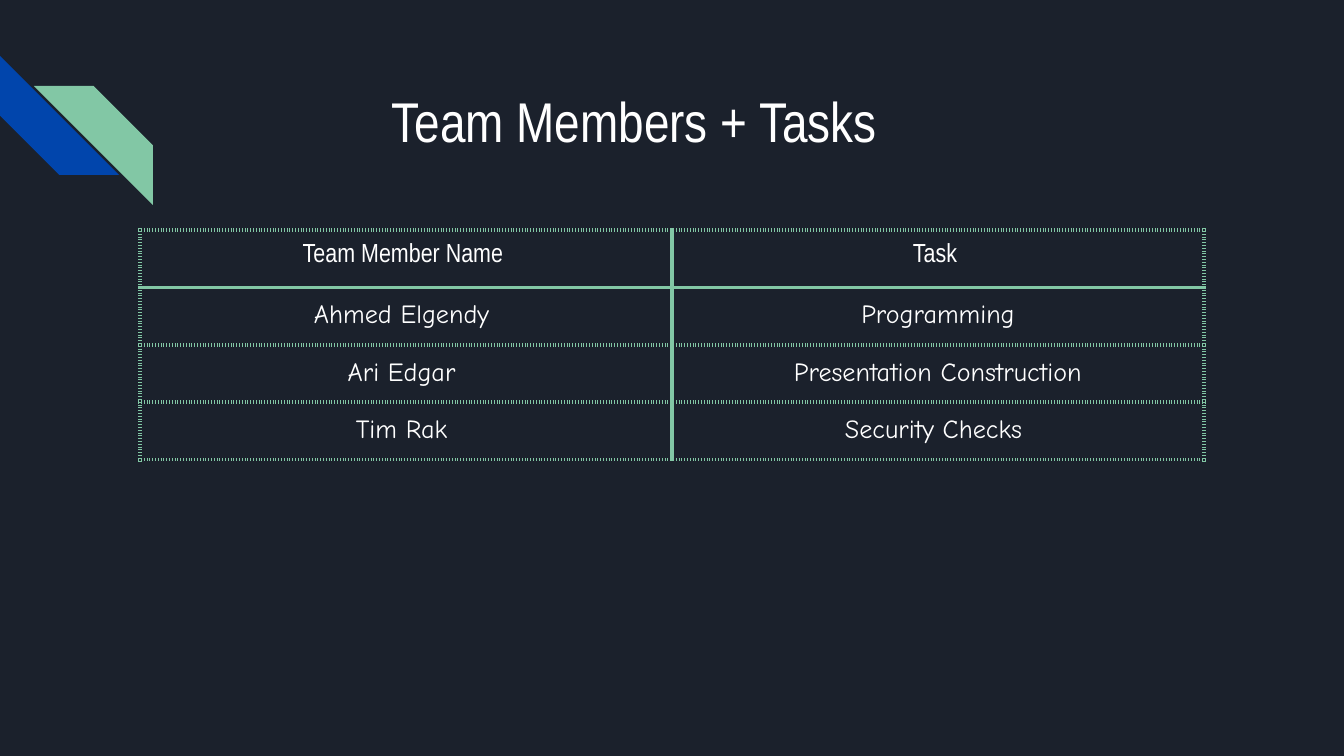
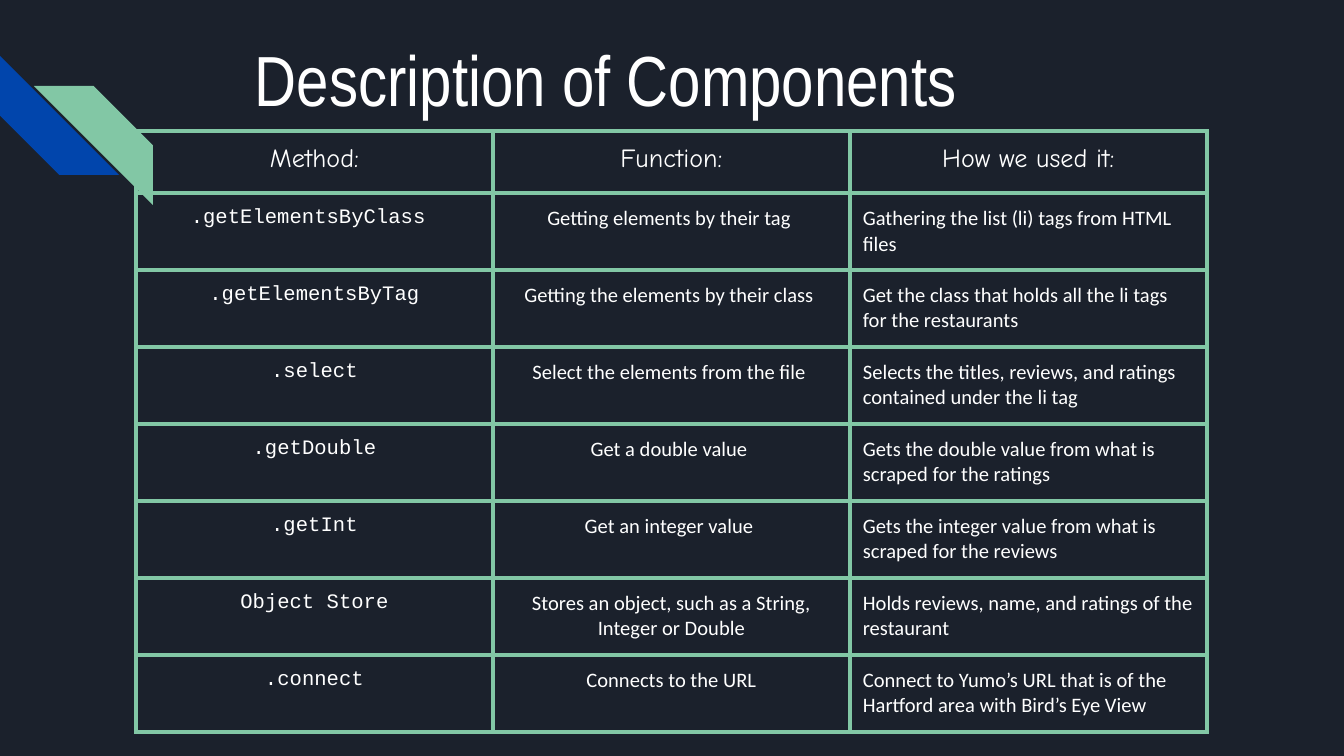
import pptx
import pptx.dml.color
import pptx.enum.shapes
import pptx.enum.text
import pptx.oxml
import pptx.oxml.ns
import pptx.util

EMU_PER_PX = 914400 / 134.4
NAVY, BLUE, MINT, WHITE = "1B212C", "0145AC", "82C7A5", "FFFFFF"
HEADING, HAND, CODE, BODY = "Arial Narrow", "Comic Neue", "Courier New", "Calibri"
CENTER = pptx.enum.text.PP_ALIGN.CENTER
LEFT = pptx.enum.text.PP_ALIGN.LEFT
INSET = 13
BORDER_PT = 2.25

TEAM = [
    ("Team Member Name ", "Task "),
    ("Ahmed Elgendy ", "Programming"),
    ("Ari Edgar ", "Presentation Construction"),
    ("Tim Rak ", "Security Checks "),
]
COMPONENTS = [
    ("Method:", "Function:", "How we used it:"),
    (".getElementsByClass ", "Getting elements by their tag ",
     "Gathering the list (li) tags from HTML files"),
    (".getElementsByTag", "Getting the elements by their class ",
     "Get the class that holds all the li tags for the restaurants"),
    (".select", "Select the elements from the file ",
     "Selects the titles, reviews, and ratings contained under the li tag"),
    (".getDouble", "Get a double value ",
     "Gets the double value from what is scraped for the ratings"),
    (".getInt", "Get an integer value ",
     "Gets the integer value from what is scraped for the reviews"),
    ("Object Store", "Stores an object, such as a String, Integer or Double",
     "Holds reviews, name, and ratings of the restaurant"),
    (".connect", "Connects to the URL",
     "Connect to Yumo’s URL that is of the Hartford area with Bird’s Eye View"),
]


def px(length):
    return pptx.util.Emu(round(length * EMU_PER_PX))


def color(hex_string):
    return pptx.dml.color.RGBColor.from_string(hex_string)


def write(frame, text, font, size, align):
    frame.text = text
    paragraph = frame.paragraphs[0]
    paragraph.alignment = align
    for run in paragraph.runs:
        run.font.name = font
        run.font.size = pptx.util.Pt(size)
        run.font.color.rgb = color(WHITE)


def add_stripe(slide, left, top, size, fill):
    stripe = slide.shapes.add_shape(
        pptx.enum.shapes.MSO_SHAPE.DIAGONAL_STRIPE,
        px(left), px(top), px(size), px(size))
    stripe.shadow.inherit = False
    stripe.fill.solid()
    stripe.fill.fore_color.rgb = color(fill)
    stripe.line.fill.background()
    return stripe


def add_corner_stripes(slide, left, top, size):
    """Place two interlocking stripes, the second a quarter size down and right."""
    blue = add_stripe(slide, left, top, size, BLUE)
    blue.rotation = 270
    mint = add_stripe(slide, left + 34, top + size // 4 + 1, size, MINT)
    mint.element.spPr.xfrm.set("flipH", "1")


def add_title(slide, box, text, size, align):
    title = slide.shapes.add_textbox(*map(px, box))
    frame = title.text_frame
    frame.word_wrap = True
    frame.margin_left = frame.margin_right = px(INSET)
    frame.margin_top = frame.margin_bottom = px(INSET)
    write(frame, text, HEADING, size, align)


def set_borders(cell, dotted_sides):
    properties = cell._tc.get_or_add_tcPr()
    for side in "LRTB":
        dash = "dot" if side in dotted_sides else "solid"
        properties.append(pptx.oxml.parse_xml(
            f'<a:ln{side} {pptx.oxml.ns.nsdecls("a")} w="{pptx.util.Pt(BORDER_PT)}">'
            f'<a:solidFill><a:srgbClr val="{MINT}"/></a:solidFill>'
            f'<a:prstDash val="{dash}"/></a:ln{side}>'))


def add_grid(slide, left, top, column_width, row_heights, rows, style, dotted):
    """Draw a table; style and dotted map (row, column) to text format and sides."""
    columns = len(rows[0])
    table = slide.shapes.add_table(
        len(rows), columns, px(left), px(top),
        px(column_width * columns), px(sum(row_heights))).table
    table.first_row = table.horz_banding = False
    for column in table.columns:
        column.width = px(column_width)
    for r, texts in enumerate(rows):
        table.rows[r].height = px(row_heights[r])
        for c, text in enumerate(texts):
            cell = table.cell(r, c)
            cell.margin_left = cell.margin_right = px(INSET)
            cell.margin_top = cell.margin_bottom = px(INSET)
            write(cell.text_frame, text, *style(r, c))
            set_borders(cell, dotted(r, c))
            cell.fill.background()


def team_style(row, column):
    return (HEADING if row == 0 else HAND), 14, CENTER


def team_dots(row, column):
    """Dot every line except the column divider and the rule under the header."""
    sides = "L" if column == 0 else "R"
    if row != 1:
        sides += "T"
    if row != 0:
        sides += "B"
    return sides


def component_style(row, column):
    if row == 0:
        return HAND, 14, CENTER
    return (CODE, BODY, BODY)[column], 11, (CENTER, CENTER, LEFT)[column]


def no_dots(row, column):
    return ""


def add_base_slide(deck):
    slide = deck.slides.add_slide(deck.slide_layouts[6])
    slide.background.fill.solid()
    slide.background.fill.fore_color.rgb = color(NAVY)
    add_corner_stripes(slide, 0, 56, 119)
    return slide


def add_team_slide(deck):
    slide = add_base_slide(deck)
    add_title(slide, (345, 74, 579, 134), "Team Members + Tasks", 30, CENTER)
    add_grid(slide, 140, 230, 532, [57] * len(TEAM), TEAM, team_style, team_dots)


def add_components_slide(deck):
    slide = add_base_slide(deck)
    add_title(slide, (242, 23, 861, 134), "Description of Components", 38, LEFT)
    row_heights = [62] + [77] * (len(COMPONENTS) - 1)
    add_grid(slide, 136, 131, 357, row_heights, COMPONENTS, component_style, no_dots)


def main():
    deck = pptx.Presentation()
    deck.slide_width, deck.slide_height = px(1344), px(756)
    add_team_slide(deck)
    add_components_slide(deck)
    deck.save("out.pptx")


if __name__ == "__main__":
    main()
